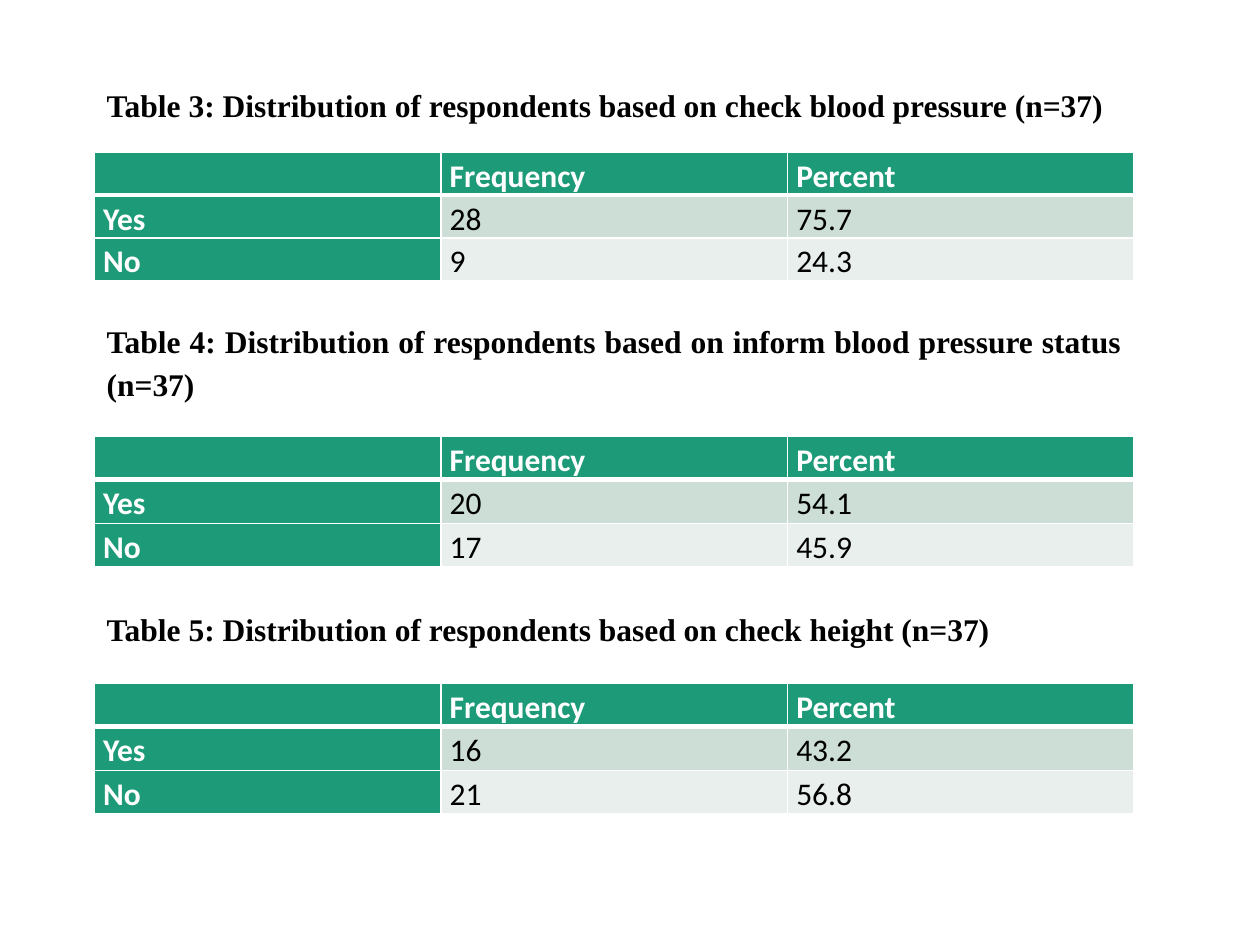
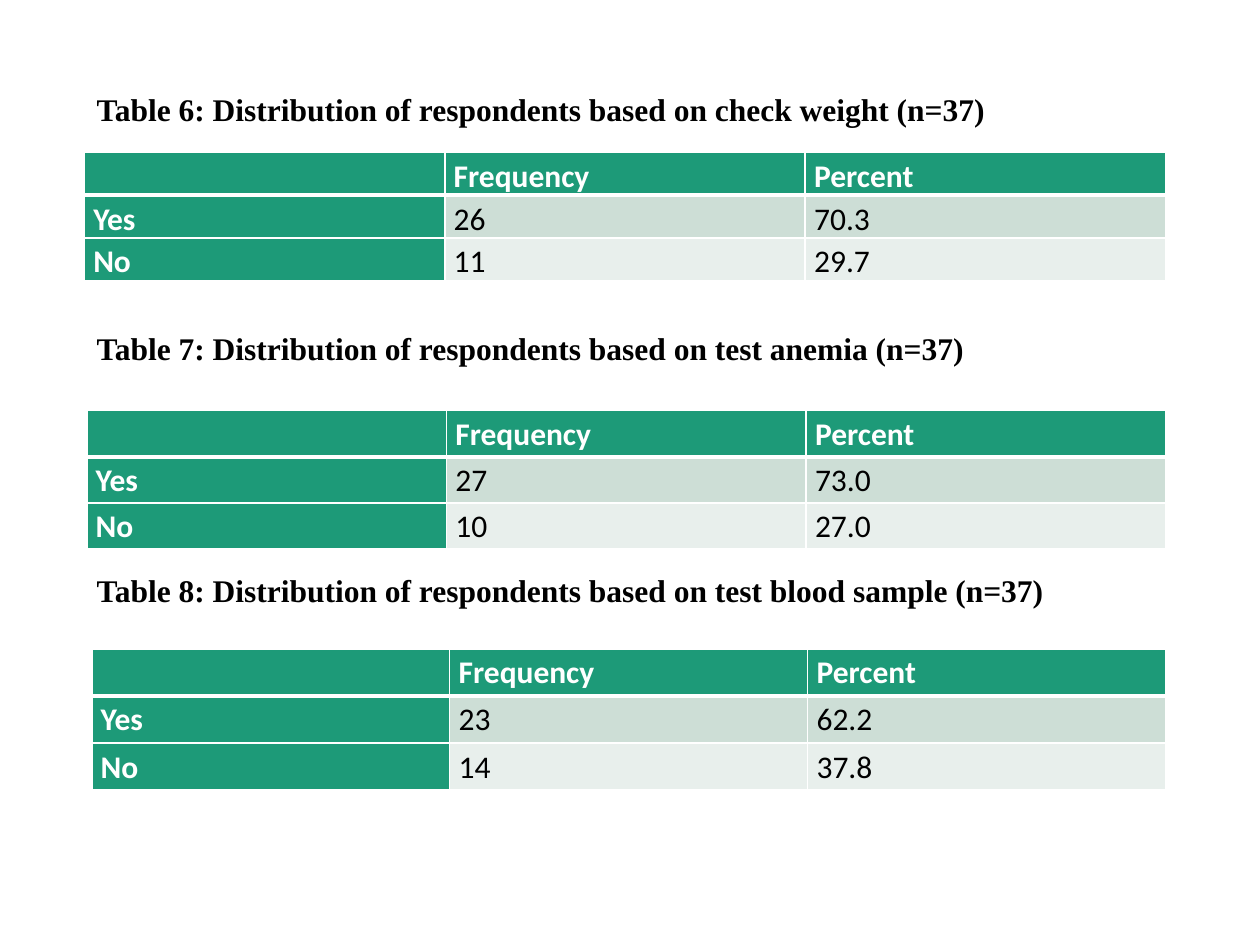
from lxml import etree
from pptx import Presentation
from pptx.dml.color import RGBColor
from pptx.enum.text import MSO_AUTO_SIZE, PP_ALIGN
from pptx.oxml.ns import qn
from pptx.util import Cm, Pt

JUSTIFY = PP_ALIGN.JUSTIFY
GROW = MSO_AUTO_SIZE.SHAPE_TO_FIT_TEXT

# Shared colours and fonts
GREEN, BAND_DARK, BAND_LIGHT = "1D9A78", "CDDED6", "E8EFEC"
WHITE, BLACK = "FFFFFF", "000000"
CAPTION_FONT, TABLE_FONT = "Times New Roman", "Calibri"

rgb = RGBColor.from_string


def write(tf, text, font=TABLE_FONT, color=BLACK, bold=False):
    p = tf.paragraphs[0]
    p.alignment = JUSTIFY
    p.line_spacing = 1.13
    p.space_after = Pt(13.8)
    r = p.add_run()
    r.text = text
    r.font.name = font
    r.font.size = Pt(18)
    r.font.bold = bold
    r.font.color.rgb = rgb(color)


def add_border(cell, side, width):
    ln = etree.SubElement(cell._tc.get_or_add_tcPr(), qn("a:ln" + side),
                          w=str(Pt(width)))
    fill = etree.SubElement(ln, qn("a:solidFill"))
    etree.SubElement(fill, qn("a:srgbClr"), val=WHITE)


# Each slide: caption left, right edge of its tables, and its entries:
# caption, (top, width, height), table (left, top, row height), Yes, No
slides = [
    (1.9, 22.86, [
        ("Table 3: Distribution of respondents based on check blood pressure (n=37)",
         (1.52, 21.59, 1.07), (1.9, 3.07, 0.81), ("28", "75.7"), ("9", "24.3")),
        ("Table 4: Distribution of respondents based on inform blood pressure status (n=37)",
         (6.27, 20.96, 1.93), (1.9, 8.79, 0.88), ("20", "54.1"), ("17", "45.9")),
        ("Table 5: Distribution of respondents based on check height (n=37)",
         (12.07, 20.96, 1.07), (1.9, 13.77, 0.88), ("16", "43.2"), ("21", "56.8")),
    ]),
    (1.7, 23.5, [
        ("Table 6: Distribution of respondents based on check weight (n=37)",
         (1.6, 21.8, 1.07), (1.7, 3.07, 0.81), ("26", "70.3"), ("11", "29.7")),
        ("Table 7: Distribution of respondents based on test anemia (n=37)",
         (6.4, 21.8, 1.07), (1.75, 8.28, 0.93), ("27", "73.0"), ("10", "27.0")),
        ("Table 8: Distribution of respondents based on test blood sample (n=37)",
         (11.28, 21.8, 1.07), (1.85, 13.08, 0.95), ("23", "62.2"), ("14", "37.8")),
    ]),
]

prs = Presentation()
prs.slide_width, prs.slide_height = Cm(25.4), Cm(19.05)
blank = prs.slide_layouts[6]

for caption_left, right, entries in slides:
    s = prs.slides.add_slide(blank)
    for caption, (top, width, height), (left, table_top, row_height), yes, no in entries:
        # Caption
        sp = s.shapes.add_textbox(Cm(caption_left), Cm(top), Cm(width), Cm(height))
        tf = sp.text_frame
        tf.word_wrap = True
        tf.auto_size = GROW
        write(tf, caption, font=CAPTION_FONT, bold=True)

        # Frequency table
        table = s.shapes.add_table(3, 3, Cm(left), Cm(table_top),
                                   Cm(right - left), Cm(3 * row_height)).table
        table.first_col = True
        rows = [("", "Frequency", "Percent"), ("Yes", *yes), ("No", *no)]
        for i, row in enumerate(rows):
            table.rows[i].height = Cm(row_height)
            for j, text in enumerate(row):
                cell = table.cell(i, j)
                cell.margin_left = cell.margin_right = Cm(0.18)
                cell.margin_top = cell.margin_bottom = 0
                header = i == 0 or j == 0
                if text:
                    write(cell.text_frame, text, bold=header,
                          color=WHITE if header else BLACK)
                # The rule under the header row is heavier
                for side in "LRTB":
                    heavy = (i, side) in ((0, "B"), (1, "T"))
                    add_border(cell, side, 3 if heavy else 1)
                cell.fill.solid()
                band = BAND_DARK if i == 1 else BAND_LIGHT
                cell.fill.fore_color.rgb = rgb(GREEN if header else band)

prs.save("out.pptx")
